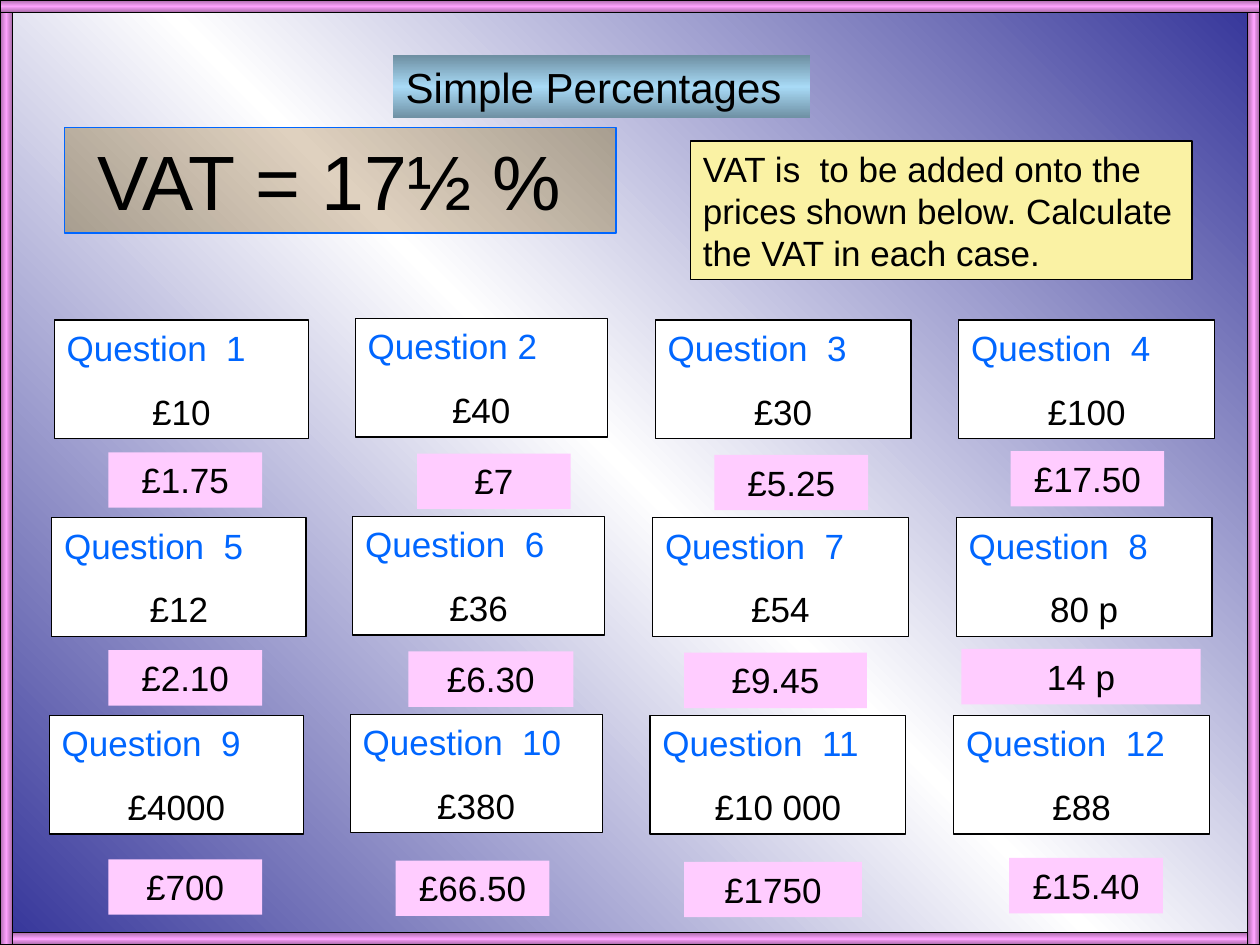
from copy import deepcopy

from pptx import Presentation
from pptx.dml.color import RGBColor
from pptx.enum.shapes import MSO_SHAPE
from pptx.enum.text import MSO_ANCHOR, MSO_AUTO_SIZE, PP_ALIGN
from pptx.util import Inches, Pt

FONT = "Arial"
COLORS = {
    "black": "000000", "white": "FFFFFF", "blue": "0066FF", "navy": "333399",
    "pink": "FFCCFF", "yellow": "FAF2A4",
    "steel": "6E8FA2", "sky": "A8DAF6",
    "taupe": "A89E90", "sand": "DFD1BF",
    "plum": "A76AA7", "orchid": "FDA1FD",
}

# Column left edges, widths and answer tops in the first row
COLUMNS = [(0.43, 2.02, 3.59), (2.82, 2.0, 3.6), (5.2, 2.03, 3.61), (7.61, 2.03, 3.58)]
QUESTION_TOPS = [2.54, 2.53, 2.54, 2.54]
ROW_STEP, ROW_DRIFT = 1.57, -0.02
ANSWER_DROPS = [0, 1.57, 3.23]

# Question, price, answer, answer left, answer width
QUESTIONS = [
    ("Question  1", "£10", "£1.75", 0.86, 1.22),
    ("Question 2", "£40", "£7", 3.31, 1.22),
    ("Question  3", "£30", "£5.25", 5.67, 1.22),
    ("Question  4", "£100", "£17.50", 8.02, 1.22),
    ("Question  5", "£12", "£2.10", 0.86, 1.22),
    ("Question  6", "£36", "£6.30", 3.24, 1.31),
    ("Question  7", "£54", "£9.45", 5.43, 1.45),
    ("Question  8", "80 p", "14 p", 7.63, 1.9),
    ("Question  9", "£4000", "£700", 0.86, 1.22),
    ("Question  10", "£380", "£66.50", 3.14, 1.22),
    ("Question  11", "£10 000", "£1750", 5.43, 1.41),
    ("Question  12", "£88", "£15.40", 8.01, 1.22),
]


def rgb(name):
    return RGBColor.from_string(COLORS[name])


def set_gradient(fill, element, edge, middle, angle):
    """Three-stop gradient; the angle is clockwise in degrees."""
    fill.gradient()
    fill.gradient_angle = 360 - angle
    stops = element.xpath(".//a:gsLst")[0]
    stops.append(deepcopy(stops[-1]))
    for stop, name, position in zip(fill.gradient_stops, (edge, middle, edge), (0, 0.5, 1)):
        stop.color.rgb = rgb(name)
        stop.position = position


def add_box(s, x, y, w, h, fill, line=None):
    """Rectangle with a plain colour, or an (edge, middle, angle) gradient."""
    sp = s.shapes.add_shape(MSO_SHAPE.RECTANGLE, Inches(x), Inches(y), Inches(w), Inches(h))
    sp.shadow.inherit = False
    if isinstance(fill, tuple):
        set_gradient(sp.fill, sp._element, *fill)
    else:
        sp.fill.solid()
        sp.fill.fore_color.rgb = rgb(fill)
    if line:
        sp.line.color.rgb = rgb(line)
        sp.line.width = Pt(0.75)
    else:
        sp.line.fill.background()
    return sp


def set_text(sp, lines, size=20):
    """Fill a shape with (text, colour, alignment) lines."""
    tf = sp.text_frame
    tf.word_wrap = True
    tf.auto_size = MSO_AUTO_SIZE.NONE
    tf.vertical_anchor = MSO_ANCHOR.TOP
    tf.text = "\n".join(text for text, _, _ in lines)
    for i, (p, (_, color, align)) in enumerate(zip(tf.paragraphs, lines)):
        p.alignment = align
        p.space_before = Pt(12.5 if i else 0)
        r = p.runs[0]
        r.font.name, r.font.size = FONT, Pt(size)
        r.font.color.rgb = rgb(color)


def add_title(s):
    title = s.shapes.title
    title.left, title.top = Inches(3.12), Inches(0.44)
    title.width, title.height = Inches(3.31), Inches(0.5)
    set_gradient(title.fill, title._element, "steel", "sky", 90)
    set_text(title, [("Simple Percentages", "black", PP_ALIGN.LEFT)], 24)


def add_frame(s):
    for x, y, w, h, angle in [(0, 7.4, 10, 0.1, 90), (0, 0, 0.1, 7.5, 180),
                              (9.9, 0, 0.1, 7.5, 180), (0, 0, 10, 0.1, 90)]:
        add_box(s, x, y, w, h, ("plum", "orchid", angle), "black")


def add_questions(s):
    for i, (question, price, answer, answer_x, answer_w) in enumerate(QUESTIONS):
        row, col = divmod(i, len(COLUMNS))
        x, w, answer_y = COLUMNS[col]
        card = add_box(s, x + row * ROW_DRIFT, QUESTION_TOPS[col] + row * ROW_STEP,
                       w, 0.94, "white", "black")
        set_text(card, [(question, "blue", PP_ALIGN.LEFT), (price, "black", PP_ALIGN.CENTER)])
        label = add_box(s, answer_x, answer_y + ANSWER_DROPS[row], answer_w, 0.44, "pink")
        set_text(label, [(answer, "black", PP_ALIGN.CENTER)])


def main():
    prs = Presentation()
    prs.slide_width, prs.slide_height = Inches(10), Inches(7.5)
    s = prs.slides.add_slide(prs.slide_layouts[5])

    # Background, title and border
    set_gradient(s.background.fill, s._element, "navy", "white", 135)
    add_title(s)
    add_frame(s)

    # Question cards with their answers
    add_questions(s)

    # VAT rate and instructions
    rate = add_box(s, 0.51, 1.01, 4.38, 0.84, ("taupe", "sand", 135), "blue")
    set_text(rate, [("VAT = 17½ % ", "black", PP_ALIGN.CENTER)], 44)
    note = add_box(s, 5.48, 1.12, 3.98, 1.1, "yellow", "black")
    set_text(note, [("VAT is  to be added onto the prices shown below. "
                     "Calculate the VAT in each case.", "black", PP_ALIGN.LEFT)])

    prs.save("out.pptx")


if __name__ == "__main__":
    main()
